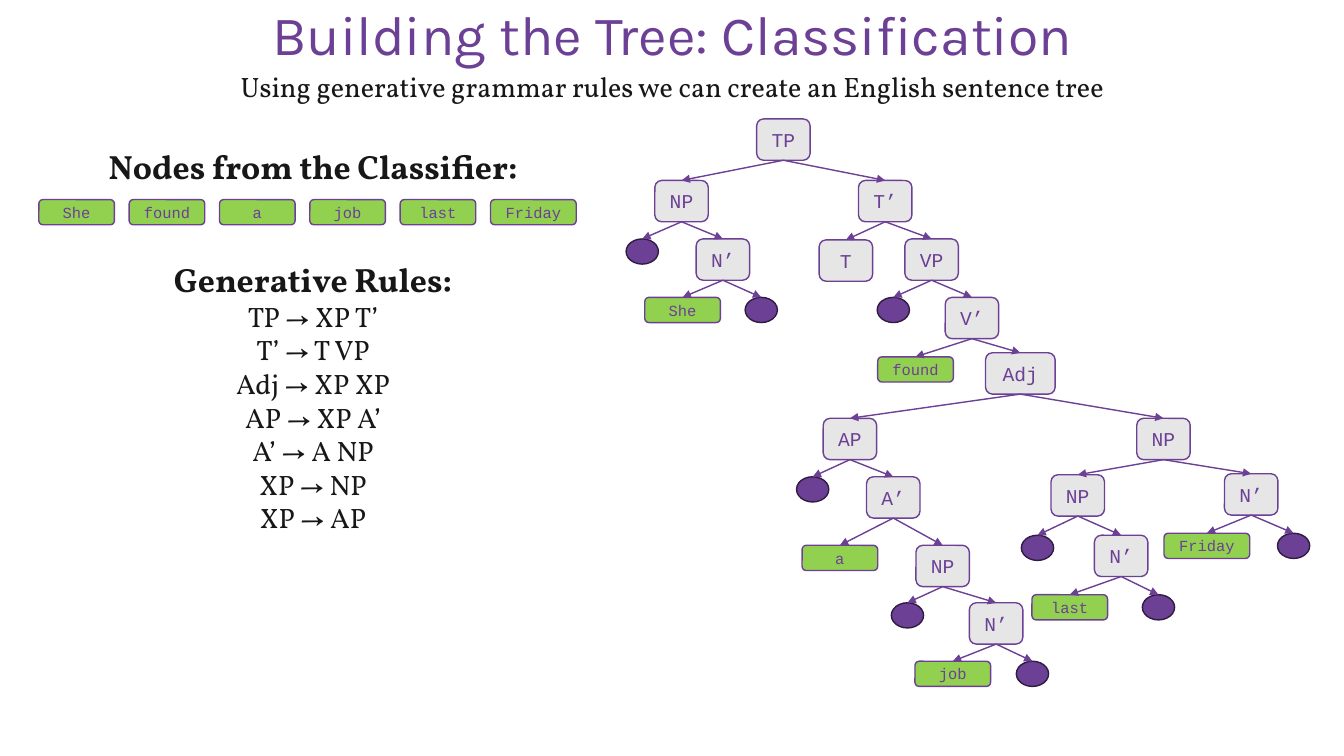
from lxml import etree
from pptx import Presentation
from pptx.dml.color import RGBColor
from pptx.enum.shapes import MSO_CONNECTOR, MSO_SHAPE
from pptx.enum.text import MSO_ANCHOR, PP_ALIGN
from pptx.oxml.ns import qn
from pptx.util import Inches, Pt

STRAIGHT = MSO_CONNECTOR.STRAIGHT
ROUNDED, ELLIPSE = MSO_SHAPE.ROUNDED_RECTANGLE, MSO_SHAPE.OVAL
TOP, MIDDLE = MSO_ANCHOR.TOP, MSO_ANCHOR.MIDDLE
CENTER = PP_ALIGN.CENTER
TOP_SITE, BOTTOM_SITE = 0, 2

SENTENCE = ["She", "found", "a", "job", "last", "Friday"]
RULES = ["TP → XP T’", "T’ → T VP", "Adj → XP XP", "AP → XP A’",
         "A’ → A NP", "XP → NP", "XP → AP"]

# Each node: label (empty for a blank leaf), centre x, top y, child nodes
ADJUNCT = ("Adj", 10.12, 3.5, [
    ("AP", 8.43, 4.15, [
        ("", 8.06, 4.73, []),
        ("A’", 8.86, 4.73, [
            ("a", 8.33, 5.41, []),
            ("NP", 9.35, 5.41, [
                ("", 9, 5.98, []),
                ("N’", 9.88, 5.98, [
                    ("job", 9.45, 6.56, []),
                    ("", 10.24, 6.56, [])])])])]),
    ("NP", 11.54, 4.15, [
        ("NP", 10.69, 4.71, [
            ("", 10.29, 5.31, []),
            ("N’", 11.12, 5.31, [
                ("last", 10.61, 5.9, []),
                ("", 11.49, 5.9, [])])]),
        ("N’", 12.41, 4.7, [
            ("Friday", 11.97, 5.29, []),
            ("", 12.83, 5.29, [])])])])
SENTENCE_TREE = ("TP", 7.77, 1.18, [
    ("NP", 6.76, 1.79, [
        ("", 6.37, 2.37, []),
        ("N’", 7.17, 2.37, [
            ("She", 6.77, 2.95, []),
            ("", 7.55, 2.95, [])])]),
    ("T’", 8.78, 1.79, [
        ("T", 8.39, 2.38, []),
        ("VP", 9.24, 2.37, [
            ("", 8.86, 2.95, []),
            ("V’", 9.64, 2.95, [
                ("found", 9.08, 3.54, []),
                ADJUNCT])])])])


def rgb(hex_code):
    return RGBColor.from_string(hex_code)


class TreeSlide:
    """Holds the slide and the look of its text, nodes and branches."""
    PURPLE, DARK_PURPLE, INK = "6C4095", "2F1C41", "181717"
    GREY, GREEN = "E7E6E6", "92D050"
    HEADING_FONT, BODY_FONT, NODE_FONT = "Karla", "Vollkorn", "Courier New"

    def __init__(self, slide):
        self.shapes = slide.shapes

    def centered_run(self, paragraph, text, size, font, color, bold=False):
        paragraph.alignment = CENTER
        run = paragraph.add_run()
        run.text = text
        run.font.size, run.font.name, run.font.bold = Pt(size), font, bold
        run.font.color.rgb = rgb(color)

    def text(self, left, top, width, height, lines, font=BODY_FONT,
             color=INK, anchor=TOP, spacing=None):
        """Adds a text box; each line is (text, size, bold)."""
        box = self.shapes.add_textbox(
            Inches(left), Inches(top), Inches(width), Inches(height))
        frame = box.text_frame
        frame.word_wrap = True
        frame.vertical_anchor = anchor
        for i, (text, size, bold) in enumerate(lines):
            paragraph = frame.add_paragraph() if i else frame.paragraphs[0]
            paragraph.line_spacing = spacing
            self.centered_run(paragraph, text, size, font, color, bold)

    def node(self, label, center, top, width, height, fill,
             outline=PURPLE, size=14, kind=ROUNDED):
        shape = self.shapes.add_shape(
            kind, Inches(center - width / 2), Inches(top),
            Inches(width), Inches(height))
        shape.shadow.inherit = False
        shape.fill.solid()
        shape.fill.fore_color.rgb = rgb(fill)
        shape.line.color.rgb = rgb(outline)
        shape.line.width = Pt(1)
        if label:
            frame = shape.text_frame
            frame.margin_left = frame.margin_right = 0
            frame.margin_top = frame.margin_bottom = 0
            frame.vertical_anchor = MIDDLE
            self.centered_run(frame.paragraphs[0], label, size,
                              self.NODE_FONT, self.PURPLE)
        return shape

    def word(self, label, center, top):
        width = 0.85 if label == "Friday" else 0.75
        return self.node(label, center, top, width, 0.25, self.GREEN, size=11)

    def blank_leaf(self, center, top):
        return self.node("", center, top, 0.32, 0.25, self.PURPLE,
                         self.DARK_PURPLE, kind=ELLIPSE)

    def phrase(self, label, center, top):
        width = 0.69 if label == "Adj" else 0.53
        return self.node(label, center, top, width, 0.41, self.GREY)

    def branch(self, parent, child):
        arrow = self.shapes.add_connector(STRAIGHT, 0, 0, 0, 0)
        arrow.begin_connect(parent, BOTTOM_SITE)
        arrow.end_connect(child, TOP_SITE)
        arrow.line.color.rgb = rgb(self.PURPLE)
        arrow.line.width = Pt(1)
        properties = arrow.element.spPr
        etree.SubElement(properties.find(qn("a:ln")), qn("a:tailEnd"),
                         type="triangle")
        etree.SubElement(properties, qn("a:effectLst"))

    def tree(self, label, center, top, children):
        """Draws a node with everything below it and returns the node."""
        if not label:
            return self.blank_leaf(center, top)
        if label in SENTENCE:
            return self.word(label, center, top)
        parent = self.phrase(label, center, top)
        for child in children:
            self.branch(parent, self.tree(*child))
        return parent


def main():
    deck = Presentation()
    deck.slide_width, deck.slide_height = Inches(13.33), Inches(7.5)
    page = TreeSlide(deck.slides.add_slide(deck.slide_layouts[6]))

    page.text(0.92, 0.01, 11.5, 0.73,
              [("Building the Tree: Classification", 39.6, False)],
              page.HEADING_FONT, page.PURPLE, MIDDLE, 0.9)
    page.tree(*SENTENCE_TREE)
    page.text(1.67, 0.64, 10, 0.44, [
        ("Using generative grammar rules we can create an English sentence tree",
         20, False)])

    page.text(0, 1.4, 6.21, 0.5, [("Nodes from the Classifier:", 24, True)])
    first_center, last_center = 0.76, 5.29
    pitch = (last_center - 0.05 - first_center) / (len(SENTENCE) - 1)
    for i, word in enumerate(SENTENCE[:-1]):
        page.word(word, first_center + i * pitch, 1.98)
    page.word(SENTENCE[-1], last_center, 1.98)

    page.text(-0.02, 2.52, 6.25, 2.86,
              [("Generative Rules:", 24, True)]
              + [(rule, 20, False) for rule in RULES])
    deck.save("out.pptx")


if __name__ == "__main__":
    main()
